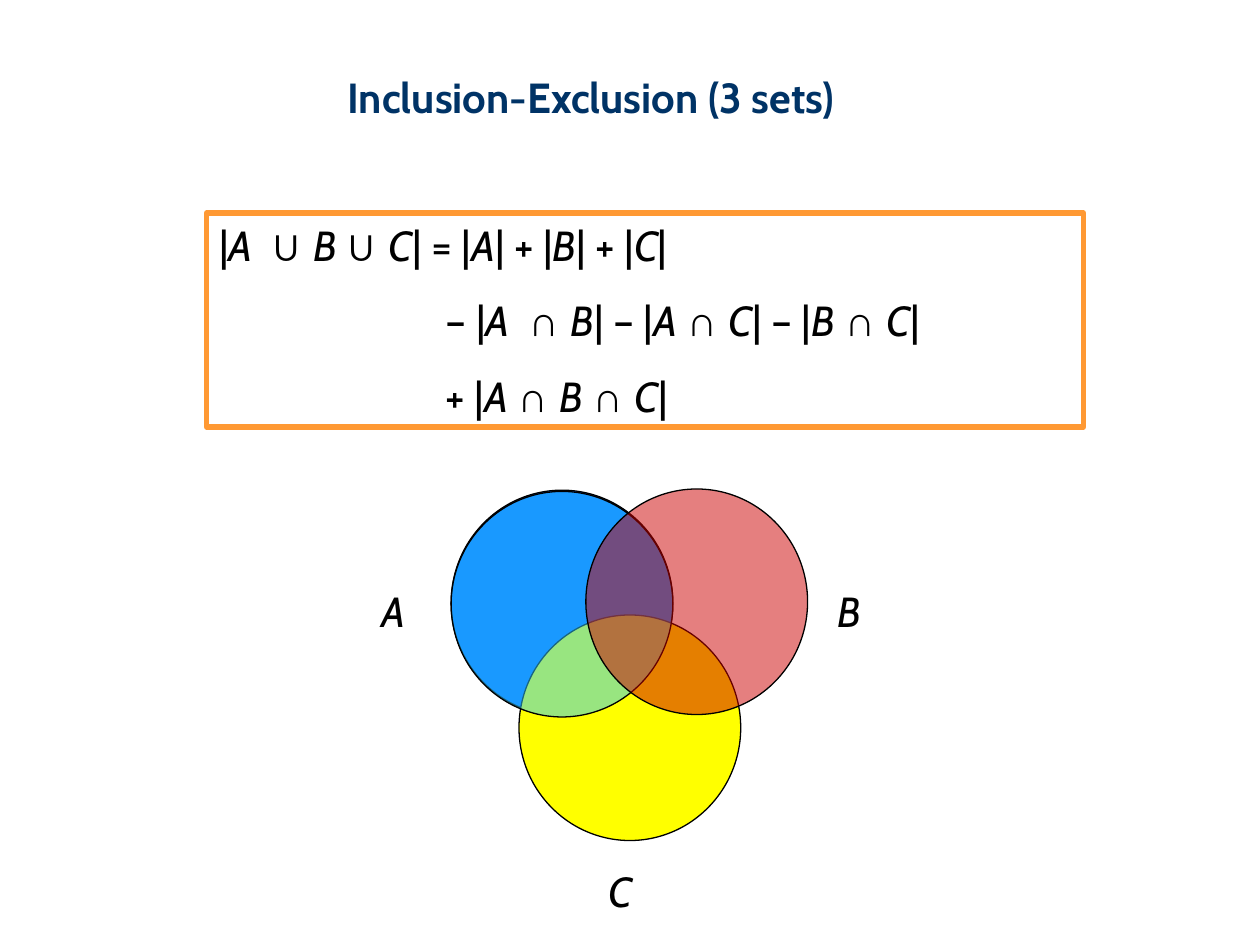
import itertools
from dataclasses import dataclass

import pptx
import pptx.dml.color
import pptx.enum.shapes
import pptx.enum.text
import pptx.oxml
import pptx.oxml.ns
import pptx.util

Pt = pptx.util.Pt


@dataclass(frozen=True)
class Theme:
    title: str = "003366"
    ink: str = "000000"
    frame: str = "FF9933"
    set_a: str = "0066FF"
    set_a_tint: str = "33CCFF"
    set_b: str = "CC0000"
    set_c: str = "FFFF00"
    size: float = 24
    font: str = "Cabin"
    symbol_font: str = "Arial"


def rgb(value):
    return pptx.dml.color.RGBColor.from_string(value)


def formula_runs(formula):
    """Split into (text, format): set names italic, operators in the symbol font."""
    kinds = []
    for char in formula:
        if char == " " and kinds:
            kinds.append(kinds[-1])
        else:
            kinds.append("set" if char in "ABC" else "operator" if char in "∪∩" else "plain")
    formats = {
        "set": {"italic": True},
        "operator": {"name": Theme.symbol_font},
        "plain": {},
    }
    for kind, pairs in itertools.groupby(zip(kinds, formula), key=lambda pair: pair[0]):
        yield "".join(char for _, char in pairs), formats[kind]


class SlideBuilder:
    def __init__(self, presentation, theme):
        self.theme = theme
        self.slide = presentation.slides.add_slide(presentation.slide_layouts[6])

    def styled_run(self, paragraph, text, color, **formats):
        run = paragraph.add_run()
        run.text = text
        values = {"name": self.theme.font, "size": Pt(self.theme.size), "bold": False,
                  "italic": False, **formats}
        for attribute, value in values.items():
            setattr(run.font, attribute, value)
        run.font.color.rgb = rgb(color)

    def label(self, text, left, top, width, color, **formats):
        box = self.slide.shapes.add_textbox(Pt(left), Pt(top), Pt(width), Pt(36))
        box.text_frame.word_wrap = False
        self.styled_run(box.text_frame.paragraphs[0], text, color, **formats)

    def outlined_shape(self, kind, left, top, width, height, line, weight):
        shape = self.slide.shapes.add_shape(kind, Pt(left), Pt(top), Pt(width), Pt(height))
        shape.shadow.inherit = False
        shape.line.color.rgb = rgb(line)
        shape.line.width = Pt(weight)
        return shape

    def formula_box(self, lines, left, top, width, height, indent):
        """Frame a formula whose continuation lines are indented."""
        box = self.outlined_shape(pptx.enum.shapes.MSO_SHAPE.RECTANGLE,
                                  left, top, width, height, self.theme.frame, 3)
        box.fill.background()
        frame = box.text_frame
        frame.word_wrap = True
        frame.vertical_anchor = pptx.enum.text.MSO_ANCHOR.TOP
        for index, line in enumerate(lines):
            paragraph = frame.add_paragraph() if index else frame.paragraphs[0]
            paragraph.alignment = pptx.enum.text.PP_ALIGN.LEFT
            if index:
                paragraph.line_spacing = 1.5
                paragraph._p.get_or_add_pPr().set("marL", str(Pt(indent)))
            for text, formats in formula_runs(line):
                self.styled_run(paragraph, text, self.theme.ink, **formats)

    def set_circle(self, left, top, color, opacity=100):
        circle = self.outlined_shape(pptx.enum.shapes.MSO_SHAPE.OVAL,
                                     left, top, 126.7, 128.9, self.theme.ink, 0.75)
        circle.fill.solid()
        circle.fill.fore_color.rgb = rgb(color)
        if opacity < 100:
            fill_color = circle.fill._xPr.find(
                pptx.oxml.ns.qn("a:solidFill")).find(pptx.oxml.ns.qn("a:srgbClr"))
            fill_color.append(pptx.oxml.parse_xml(
                f'<a:alpha {pptx.oxml.ns.nsdecls("a")} val="{opacity * 1000}"/>'))


def main():
    presentation = pptx.Presentation()
    presentation.slide_width, presentation.slide_height = Pt(720), Pt(540)
    theme = Theme()
    builder = SlideBuilder(presentation, theme)

    for name, left, top in (("A", 211, 331.2), ("B", 471.6, 331.2), ("C", 340.6, 491)):
        builder.label(name, left, top, 28.4, theme.ink, italic=True)

    builder.formula_box(
        ("|A  ∪ B ∪ C| = |A| + |B| + |C|",
         "– |A  ∩ B| – |A ∩ C| – |B ∩ C|",
         "+ |A ∩ B ∩ C|"),
        left=118.1, top=121.7, width=501.1, height=122.4, indent=129.6)

    builder.set_circle(257.8, 280.1, theme.set_a)
    builder.set_circle(296.6, 351.4, theme.set_c)
    builder.set_circle(257.8, 280.8, theme.set_a_tint, opacity=50)
    builder.set_circle(334.8, 279.4, theme.set_b, opacity=50)

    builder.label("Inclusion-Exclusion (3 sets)", 191.5, 37.4, 336.2, theme.title, bold=True)
    presentation.save("out.pptx")


if __name__ == "__main__":
    main()
